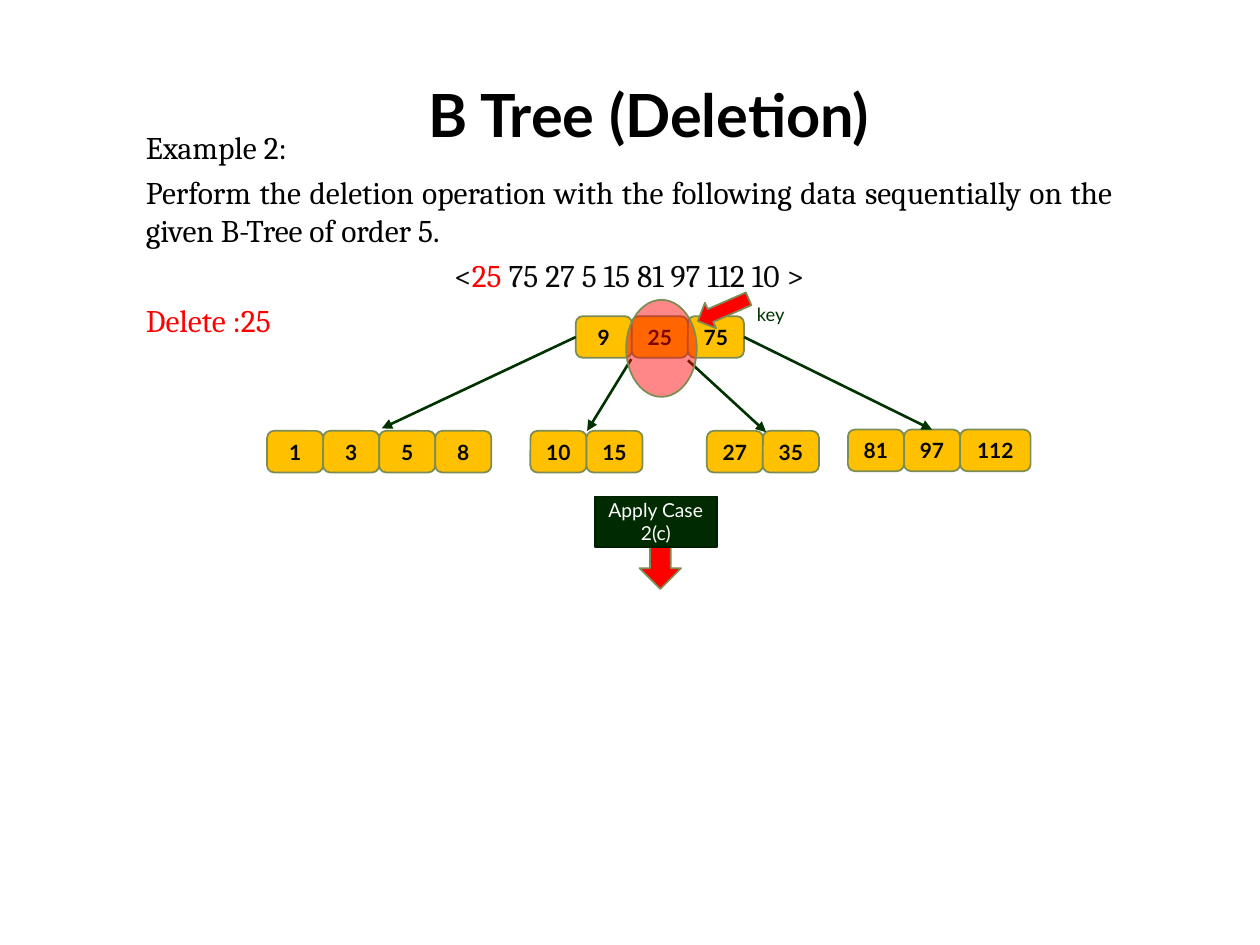
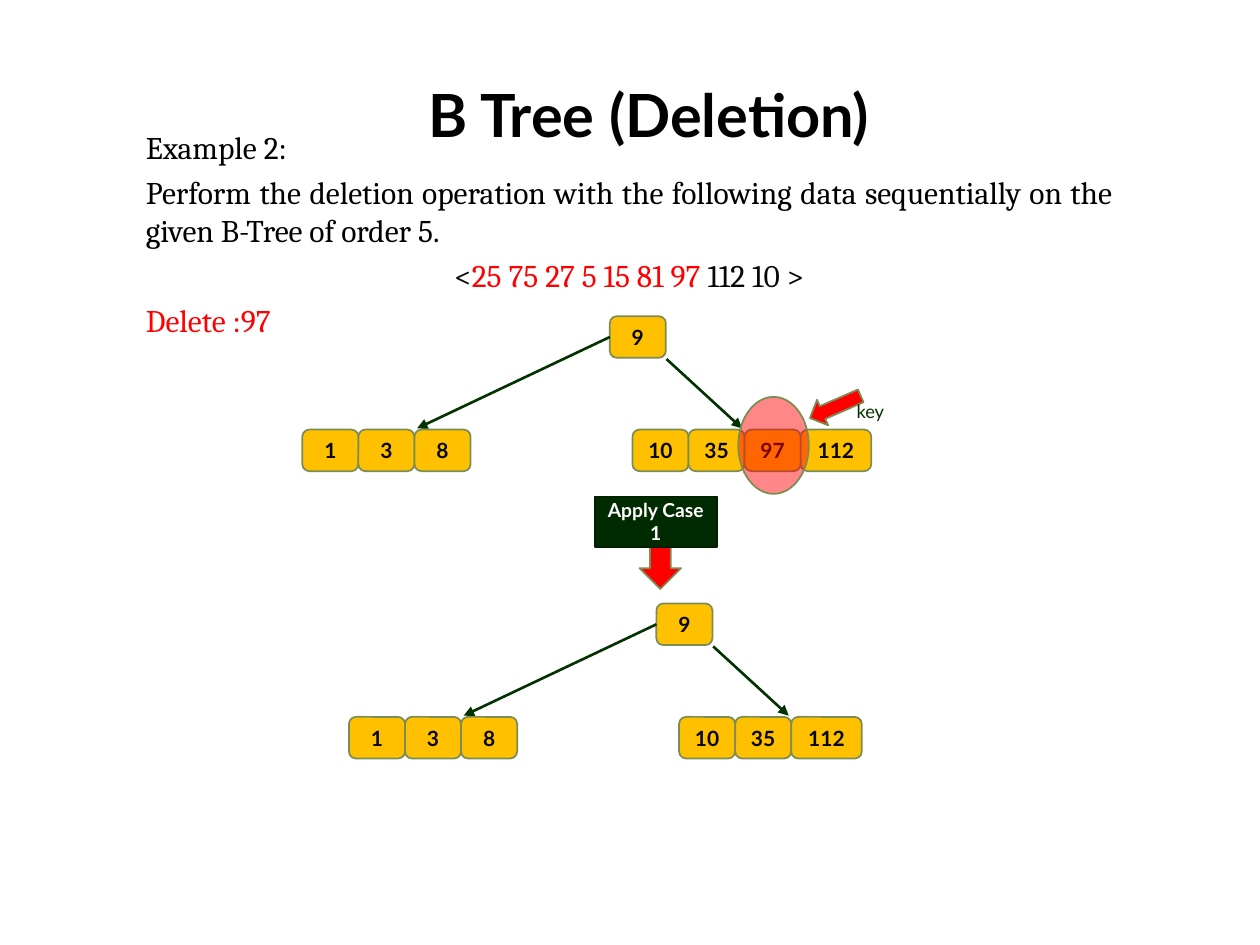
from lxml.etree import SubElement
from pptx import Presentation
from pptx.dml.color import RGBColor
from pptx.enum.shapes import MSO_CONNECTOR, MSO_SHAPE
from pptx.enum.text import MSO_ANCHOR, PP_ALIGN
from pptx.oxml.ns import qn
from pptx.util import Inches, Pt

BLACK = RGBColor(0x00, 0x00, 0x00)
INK = RGBColor(0x08, 0x08, 0x08)
WHITE = RGBColor(0xFF, 0xFF, 0xFF)
RED = RGBColor(0xFF, 0x00, 0x00)
GOLD = RGBColor(0xFF, 0xC0, 0x00)
OLIVE = RGBColor(0x7B, 0x8D, 0x55)
GREEN = RGBColor(0x00, 0x33, 0x00)
DARK = RGBColor(0x00, 0x2A, 0x00)
EDGE = RGBColor(0x00, 0x1F, 0x00)

SANS, SERIF = "Lato", "Cambria"
STEP = 0.89 / 2  # distance from one key cell to the next
WIDE = 0.56  # cell for a key of three digits
TALL = 0.33
DROP = 0.9  # from a root to its leaves


class Deck:
    def __init__(self):
        self.prs = Presentation()
        self.prs.slide_width = Inches(10)
        self.prs.slide_height = Inches(7.5)
        self.slide = None

    def start(self, title):
        """Add a slide and set its title."""
        self.slide = self.prs.slides.add_slide(self.prs.slide_layouts[5])
        head = self.slide.shapes.title
        head.left, head.top = Inches(0.65), Inches(0.51)
        head.width, head.height = Inches(9), Inches(0.79)
        head.text_frame.vertical_anchor = MSO_ANCHOR.MIDDLE
        par = head.text_frame.paragraphs[0]
        par.alignment = PP_ALIGN.CENTER
        self.run(par, title, 34, BLACK, bold=True)

    def run(self, par, text, size, color, face=SANS, bold=False):
        run = par.add_run()
        run.text = text
        font = run.font
        font.name, font.size, font.bold = face, Pt(size), bold
        font.color.rgb = color

    def box(self, x, y, w, h):
        """Add a text box and give its frame."""
        box = self.slide.shapes.add_textbox(Inches(x), Inches(y), Inches(w), Inches(h))
        box.text_frame.word_wrap = True
        return box.text_frame

    def task(self, done, rest, key):
        """Write the task, with the handled keys in red."""
        rows = [
            (PP_ALIGN.JUSTIFY, [("Example 2:", BLACK)]),
            (PP_ALIGN.JUSTIFY, [("Perform the deletion operation with the following data "
                                 "sequentially on the given B-Tree of order 5.", BLACK)]),
            (PP_ALIGN.CENTER, [("<", INK), (done + " ", RED), (rest + " >", INK)]),
            (PP_ALIGN.LEFT, [(f"Delete :{key}", RED)]),
        ]
        frame = self.box(1.06, 0.97, 7.87, 1.86)
        for i, (align, runs) in enumerate(rows):
            par = frame.add_paragraph() if i else frame.paragraphs[0]
            par.alignment = align
            par.space_before = Pt(4)
            for text, color in runs:
                self.run(par, text, 18, color, SERIF)

    def shape(self, kind, x, y, w, h, fill, line=OLIVE, turn=0):
        shape = self.slide.shapes.add_shape(kind, Inches(x), Inches(y), Inches(w), Inches(h))
        shape.shadow.inherit = False
        shape.fill.solid()
        shape.fill.fore_color.rgb = fill
        shape.line.color.rgb = line
        shape.line.width = Pt(1)
        shape.rotation = turn
        return shape

    def label(self, shape, text, size, color, bold):
        frame = shape.text_frame
        frame.word_wrap = True
        frame.vertical_anchor = MSO_ANCHOR.MIDDLE
        par = frame.paragraphs[0]
        par.alignment = PP_ALIGN.CENTER
        self.run(par, text, size, color, bold=bold)

    def node(self, x, y, *keys):
        """Draw a row of key cells and give them back."""
        cells = []
        for i, key in enumerate(keys):
            wide = WIDE if key > 99 else STEP
            cell = self.shape(MSO_SHAPE.ROUNDED_RECTANGLE, x + i * STEP, y, wide, TALL, GOLD)
            frame = cell.text_frame
            frame.margin_left = frame.margin_right = 0
            self.label(cell, str(key), 12, INK, True)
            cells.append(cell)
        return cells

    def arrow(self, x1, y1, x2, y2, begin=None, end=None):
        """Draw an arrow; begin and end are (cell, side) pairs."""
        line = self.slide.shapes.add_connector(
            MSO_CONNECTOR.STRAIGHT, Inches(x1), Inches(y1), Inches(x2), Inches(y2))
        if begin:
            line.begin_connect(*begin)
        if end:
            line.end_connect(*end)
        line.line.color.rgb = GREEN
        line.line.width = Pt(1.5)
        props = line.element.spPr
        SubElement(props.find(qn("a:ln")), qn("a:tailEnd"), type="triangle")
        SubElement(props, qn("a:effectLst"))

    def mark(self, x, y, gap):
        """Ring a key and point at it; gap is from ring to word."""
        ring = self.shape(MSO_SHAPE.OVAL, x, y, 0.56, 0.77, RED)
        color = ring.element.spPr.find(qn("a:solidFill"))[0]
        SubElement(color, qn("a:alpha"), val="47000")
        self.shape(MSO_SHAPE.LEFT_ARROW, x + 0.55, y - 0.03, 0.44, 0.22, RED, turn=336.4)
        frame = self.box(x + gap, y - 0.02, 0.46, 0.28)
        self.run(frame.paragraphs[0], "key", 10.5, GREEN)

    def case(self, text, bold=False):
        """Name the case that leads to the next tree."""
        self.shape(MSO_SHAPE.RIGHT_ARROW, 5.04, 4.31, 0.4, TALL, RED, turn=90)
        sign = self.shape(MSO_SHAPE.RECTANGLE, 4.72, 3.94, 0.97, 0.4, DARK, EDGE)
        self.label(sign, text, 11, WHITE, bold)

    def tree(self, x, y, *right):
        """Draw root 9 at x, y with two leaves."""
        root, = self.node(x, y, 9)
        self.node(x - 2.44, y + DROP, 1, 3, 8)
        self.node(x + 0.18, y + DROP, *right)
        self.arrow(x, y + TALL / 2, x - 1.53, y + 0.89, begin=(root, 1))
        self.arrow(x + 0.45, y + 0.34, x + 1.05, y + 0.89)


def main():
    deck = Deck()
    title = "B Tree (Deletion)"

    # Delete 25
    deck.start(title)
    deck.task("25", "75 27 5 15 81 97 112 10", 25)
    deck.case("Apply Case 2(c)")
    root = deck.node(4.57, 2.51, 9, 25, 75)
    deck.node(2.12, 3.42, 1, 3, 5, 8)
    deck.node(4.21, 3.42, 10, 15)
    deck.node(5.61, 3.42, 27, 35)
    last = deck.node(6.73, 3.41, 81, 97, 112)
    deck.arrow(4.57, 2.68, 3.03, 3.4, begin=(root[0], 1))
    deck.arrow(5.01, 2.85, 4.66, 3.42)
    deck.arrow(5.46, 2.86, 6.08, 3.43)
    deck.arrow(5.9, 2.68, 7.4, 3.41, begin=(root[2], 3), end=(last[1], 0))
    deck.mark(4.97, 2.38, 0.94)

    # Delete 97
    deck.start(title)
    deck.task("25 75 27 5 15 81 97", "112 10", 97)
    deck.tree(4.84, 2.51, 10, 35, 97, 112)
    deck.mark(5.86, 3.15, 0.84)
    deck.case("Apply Case 1", bold=True)
    deck.tree(5.21, 4.79, 10, 35, 112)

    deck.prs.save("out.pptx")


if __name__ == "__main__":
    main()
